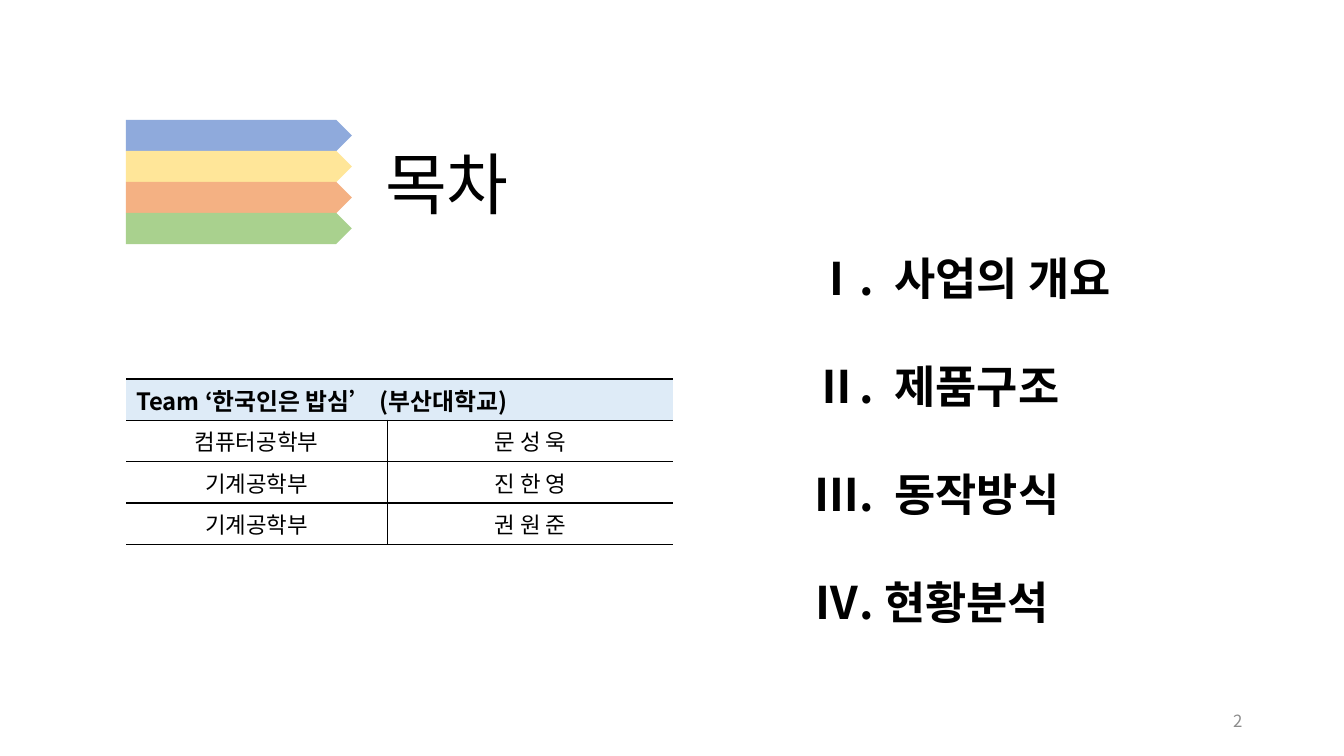
"""Build the contents slide with its banner, team table and agenda."""
from dataclasses import dataclass

from lxml.etree import SubElement
from pptx import Presentation
from pptx.dml.color import RGBColor
from pptx.enum.shapes import MSO_SHAPE as Shape
from pptx.enum.text import MSO_ANCHOR as Anchor, PP_ALIGN as Align
from pptx.oxml.ns import qn
from pptx.util import Inches, Pt

FONT = "Noto Sans CJK KR"
COLORS = {
    "blue": "8FAADC",
    "yellow": "FFE699",
    "orange": "F4B183",
    "green": "A9D18E",
    "header": "DEEBF7",
    "black": "000000",
    "gray": "8C8C8C",
}
BANNER_COLORS = ["blue", "yellow", "orange", "green"]
AGENDA = ["Ⅰ.  사업의 개요", "Ⅱ.  제품구조", "Ⅲ.  동작방식", "Ⅳ. 현황분석"]
TEAM = "Team ‘한국인은 밥심’ (부산대학교)"
COLUMN_WIDTHS = [2.59, 2.84]
ROW_HEIGHT = 0.41
LEFT = 1.25


@dataclass
class Box:
    left: float
    top: float
    width: float
    height: float

    def lengths(self) -> list:
        return [Inches(v) for v in (self.left, self.top, self.width, self.height)]


@dataclass
class Member:
    department: str
    name: str


MEMBERS = [
    Member("컴퓨터공학부", "문 성 욱"),
    Member("기계공학부", "진 한 영"),
    Member("기계공학부", "권 원 준"),
]


def rgb(name: str) -> RGBColor:
    return RGBColor.from_string(COLORS[name])


def write(paragraph, text: str, size: float, bold: bool = False,
          color: str = "black", align=Align.LEFT) -> None:
    paragraph.alignment = align
    run = paragraph.add_run()
    run.text = text
    font = run.font
    font.name, font.size, font.bold = FONT, Pt(size), bold
    font.color.rgb = rgb(color)
    SubElement(font._element, qn("a:ea"), typeface=FONT)


def add_text_frame(slide, box: Box, anchor=Anchor.MIDDLE):
    frame = slide.shapes.add_textbox(*box.lengths()).text_frame
    frame.word_wrap = True
    frame.vertical_anchor = anchor
    return frame


def add_banner(slide) -> None:
    group = slide.shapes.add_group_shape()
    for index, color in enumerate(BANNER_COLORS):
        box = Box(LEFT, 1.19 + index * 0.307, 2.24, 0.31)
        shape = group.shapes.add_shape(Shape.PENTAGON, *box.lengths())
        shape.shadow.inherit = False
        shape.fill.solid()
        shape.fill.fore_color.rgb = rgb(color)
        shape.line.fill.background()


def set_borders(cell, inner_left: bool, inner_right: bool) -> None:
    properties = cell._tc.get_or_add_tcPr()
    sides = {"L": inner_left, "R": inner_right, "T": True, "B": True}
    for position, (side, visible) in enumerate(sides.items()):
        line = SubElement(properties, qn(f"a:ln{side}"), w=str(Pt(1)))
        properties.insert(position, line)
        if visible:
            fill = SubElement(line, qn("a:solidFill"))
            SubElement(fill, qn("a:srgbClr"), val=COLORS["black"])
        else:
            SubElement(line, qn("a:noFill"))


def add_team_table(slide) -> None:
    rows = len(MEMBERS) + 1
    box = Box(LEFT, 3.76, sum(COLUMN_WIDTHS), rows * ROW_HEIGHT)
    table = slide.shapes.add_table(rows, len(COLUMN_WIDTHS), *box.lengths()).table
    table.first_row = table.horz_banding = False
    for column, width in zip(table.columns, COLUMN_WIDTHS):
        column.width = Inches(width)
    for row_index, row in enumerate(table.rows):
        row.height = Inches(ROW_HEIGHT)
        is_body = row_index > 0
        for column_index, cell in enumerate(row.cells):
            cell.vertical_anchor = Anchor.MIDDLE
            cell.margin_top = cell.margin_bottom = Inches(0.02)
            if is_body:
                cell.fill.background()
            else:
                cell.fill.solid()
                cell.fill.fore_color.rgb = rgb("header")
            set_borders(cell, is_body and column_index == 1, is_body and column_index == 0)
    header = table.cell(0, 0)
    header.merge(table.cell(0, 1))
    write(header.text_frame.paragraphs[0], TEAM, size=17, bold=True)
    for row_index, member in enumerate(MEMBERS, start=1):
        for column_index, text in enumerate((member.department, member.name)):
            paragraph = table.cell(row_index, column_index).text_frame.paragraphs[0]
            write(paragraph, text, size=16, align=Align.CENTER)


def add_agenda(slide) -> None:
    frame = add_text_frame(slide, Box(7.98, 2.42, 3.49, 3.87), Anchor.TOP)
    for index, text in enumerate(AGENDA):
        paragraph = frame.add_paragraph() if index else frame.paragraphs[0]
        paragraph.line_spacing = Pt(40)
        paragraph.space_after = Pt(37)
        write(paragraph, text, size=32, bold=True)


def main() -> None:
    presentation = Presentation()
    presentation.slide_width = Inches(13.33)
    presentation.slide_height = Inches(7.5)
    slide = presentation.slides.add_slide(presentation.slide_layouts[6])
    add_banner(slide)
    title = add_text_frame(slide, Box(3.72, 1.36, 1.55, 0.91))
    write(title.paragraphs[0], "목차", size=48)
    add_team_table(slide)
    add_agenda(slide)
    number = add_text_frame(slide, Box(9.42, 6.95, 3, 0.4))
    write(number.paragraphs[0], "2", size=12, color="gray", align=Align.RIGHT)
    presentation.save("out.pptx")


if __name__ == "__main__":
    main()
